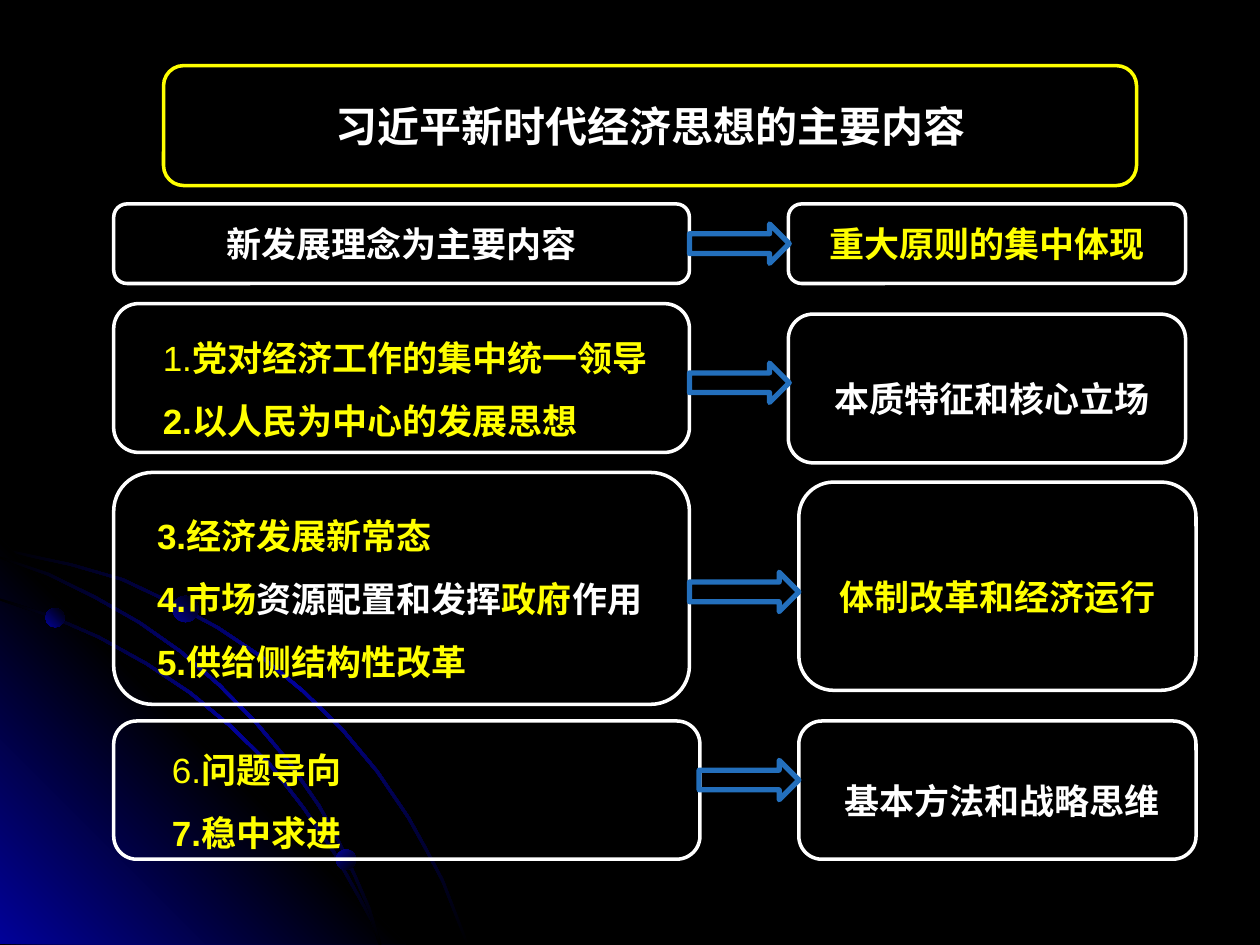
from dataclasses import dataclass
from typing import Optional

import pptx
import pptx.dml.color
import pptx.enum.shapes
import pptx.enum.text
import pptx.oxml.ns
import pptx.util
from lxml import etree

Pt = pptx.util.Pt
ALIGN = pptx.enum.text.PP_ALIGN
SHAPE = pptx.enum.shapes.MSO_SHAPE
COLORS = {"black": "000000", "navy": "010199", "white": "FFFFFF",
          "yellow": "FFFF00", "arrow": "236FBC"}
LATIN, CJK = "Arial", "Noto Sans CJK JP"
CORNER = 0.167


@dataclass
class Span:
    text: str
    color: str = "yellow"
    bold: bool = True
    font: str = LATIN


@dataclass
class Box:
    left: float
    top: float
    width: float
    height: float
    paras: list[list[Span]]
    line: str = "white"
    size: float = 20
    align: ALIGN = ALIGN.CENTER
    spacing: float = 1.0
    indent: float = 0
    holder: Optional[int] = None


@dataclass
class Arrow:
    left: float
    top: float
    width: float


def rgb(name: str) -> pptx.dml.color.RGBColor:
    return pptx.dml.color.RGBColor.from_string(COLORS[name])


def fill_gradient(shape, names: list[str], angle: int) -> None:
    qn = pptx.oxml.ns.qn
    gradient = etree.Element(qn("a:gradFill"), rotWithShape="1")
    stops = etree.SubElement(gradient, qn("a:gsLst"))
    for index, name in enumerate(names):
        position = index * 100000 // (len(names) - 1)
        stop = etree.SubElement(stops, qn("a:gs"), pos=str(position))
        etree.SubElement(stop, qn("a:srgbClr"), val=COLORS[name])
    etree.SubElement(gradient, qn("a:lin"), ang=str(angle * 60000), scaled="0")
    properties = shape._element.spPr
    for old in properties.findall(qn("a:solidFill")):
        properties.remove(old)
    properties.insert(2, gradient)
    shape.line.fill.background()
    shape.shadow.inherit = False


def draw_outline(page, points: list[tuple], names: list[str], angle: int) -> None:
    corners = [(Pt(x), Pt(y)) for x, y in points]
    builder = page.shapes.build_freeform(*corners[0], scale=1.0)
    builder.add_line_segments(corners[1:], close=True)
    fill_gradient(builder.convert_to_shape(), names, angle)


def draw_arc(page, edge: list[tuple]) -> None:
    inner = [(max(x - 1.2, 0), y + 1.2) for x, y in reversed(edge)]
    draw_outline(page, edge + inner, ["black", "navy", "black"], 45)


def draw_dot(page, left: float, top: float, size: float, angle: int) -> None:
    dot = page.shapes.add_shape(SHAPE.OVAL, Pt(left), Pt(top), Pt(size), Pt(size))
    fill_gradient(dot, ["navy", "black"], angle)


def add_outlined(page, kind, bounds: list, color: str, weight: float):
    shape = page.shapes.add_shape(kind, *bounds)
    shape.fill.background()
    shape.line.color.rgb = rgb(color)
    shape.line.width = Pt(weight)
    shape.shadow.inherit = False
    return shape


def write_text(frame, box: Box) -> None:
    for index, spans in enumerate(box.paras):
        para = frame.paragraphs[0] if index == 0 else frame.add_paragraph()
        properties = para._p.get_or_add_pPr()
        properties.set("marL", str(Pt(box.indent)))
        properties.set("indent", "0")
        etree.SubElement(properties, pptx.oxml.ns.qn("a:buNone"))
        para.alignment = box.align
        para.line_spacing = box.spacing
        para.space_before = para.space_after = Pt(0)
        for part in spans:
            span = para.add_run()
            span.text = part.text
            span.font.name = part.font
            span.font.size = Pt(box.size)
            span.font.bold = part.bold
            span.font.color.rgb = rgb(part.color)


def draw_box(page, box: Box) -> None:
    bounds = [Pt(v) for v in (box.left, box.top, box.width, box.height)]
    target = add_outlined(page, SHAPE.ROUNDED_RECTANGLE, bounds, box.line, 2)
    target.adjustments[0] = CORNER
    side, end = 7.2, 3.6
    if box.holder is not None:
        # Placeholder text sits inside the rounded frame, above the artwork
        target = next(p for p in page.placeholders
                      if p.placeholder_format.idx == box.holder)
        page.shapes._spTree.append(target._element)
        target.left, target.top, target.width, target.height = bounds
        side, end = side + CORNER * 0.29 * box.height, 0
    frame = target.text_frame
    frame.word_wrap = True
    frame.auto_size = pptx.enum.text.MSO_AUTO_SIZE.NONE
    frame.vertical_anchor = pptx.enum.text.MSO_ANCHOR.MIDDLE
    frame.margin_left = frame.margin_right = Pt(side)
    frame.margin_top = frame.margin_bottom = Pt(end)
    write_text(frame, box)


def draw_arrow(page, arrow: Arrow) -> None:
    bounds = [Pt(v) for v in (arrow.left, arrow.top, arrow.width, 22.5)]
    add_outlined(page, SHAPE.RIGHT_ARROW, bounds, "arrow", 3)


ARCS = [
    [(0, 313), (20, 317.5), (41, 322), (70.5, 330.5), (98, 343.5), (125, 358),
     (150.5, 375), (174, 394.5), (196, 416), (216, 440), (234, 466.5),
     (244, 484.5), (253.5, 502.5), (260.5, 520.5), (268, 539.5)],
    [(0, 342), (29.5, 351.5), (57, 363.5), (84, 378.5), (109.5, 395.5),
     (132.5, 414.5), (155, 436.5), (174, 461), (191.5, 486.5), (206, 512.5),
     (213, 525.5), (218, 539.5)],
    [(0, 318), (28, 327.5), (54.5, 340.5), (80, 355), (103.5, 371.5), (126, 391),
     (147, 412.5), (165, 434), (183, 460), (193.5, 479), (203, 499),
     (211.5, 518.5), (218, 539.5)],
]
DOTS = [(26, 347.5, 11, 315), (192, 485.5, 11.5, 45), (98.5, 340.5, 15, 315)]

LIST = {"align": ALIGN.JUSTIFY, "spacing": 1.5}
BOXES = [
    Box(93.5, 37.5, 556, 68.5, [[Span("习近平新时代经济思想的主要内容", "white", font=CJK)]],
        line="yellow", size=24, holder=0),
    # Left column: contents
    Box(65, 116.5, 329, 45.5, [[Span("新发展理念为主要内容", "white")]]),
    Box(65, 173.5, 329, 85, [[Span("1.", bold=False), Span("党对经济工作的集中统一领导")],
                             [Span("2.以人民为中心的发展思想")]],
        indent=16.7, holder=1, **LIST),
    Box(65, 270, 329, 132.5, [[Span("3.经济发展新常态")],
                              [Span("4.市场"), Span("资源配置和发挥", "white"),
                               Span("政府"), Span("作用", "white")],
                              [Span("5.供给侧结构性改革")]],
        indent=11.1, holder=2, **LIST),
    Box(65, 412, 335, 79, [[Span("6.", bold=False), Span("问题导向")],
                           [Span("7.稳中求进")]],
        indent=22.2, holder=4, **LIST),
    # Right column: meaning
    Box(450.5, 116.5, 227, 45.5, [[Span("重大原则的集中体现", font=CJK)]]),
    Box(450.5, 179.5, 227, 85, [[Span("本质特征和核心立场", "white", font=CJK)]],
        spacing=1.5, indent=5.6),
    Box(456.5, 275.5, 227, 119, [[Span("体制改革和经济运行", font=CJK)]], spacing=1.5),
    Box(456.5, 412, 227, 79, [[Span("基本方法和战略思维", "white", font=CJK)]],
        spacing=1.5, indent=5.6),
]
ARROWS = [Arrow(394, 128, 57), Arrow(394, 207.5, 57),
          Arrow(394, 327, 62.5), Arrow(399.5, 434.5, 57)]


def main() -> None:
    deck = pptx.Presentation()
    deck.slide_width, deck.slide_height = Pt(720), Pt(540)
    page = deck.slides.add_slide(deck.slide_layouts[4])
    page.background.fill.solid()
    page.background.fill.fore_color.rgb = rgb("black")

    # Corner artwork
    draw_arc(page, ARCS[0])
    draw_outline(page, [(232, 539.5), (0, 539.5), (0, 307.5)],
                 ["navy", "black", "navy"], 315)
    for edge in ARCS[1:]:
        draw_arc(page, edge)
    for dot in DOTS:
        draw_dot(page, *dot)

    # Boxes and arrows
    for box in BOXES:
        draw_box(page, box)
    for arrow in ARROWS:
        draw_arrow(page, arrow)

    # Unused placeholders
    used = {box.holder for box in BOXES}
    for holder in list(page.placeholders):
        if holder.placeholder_format.idx not in used:
            holder._element.getparent().remove(holder._element)
    deck.save("out.pptx")


if __name__ == "__main__":
    main()
